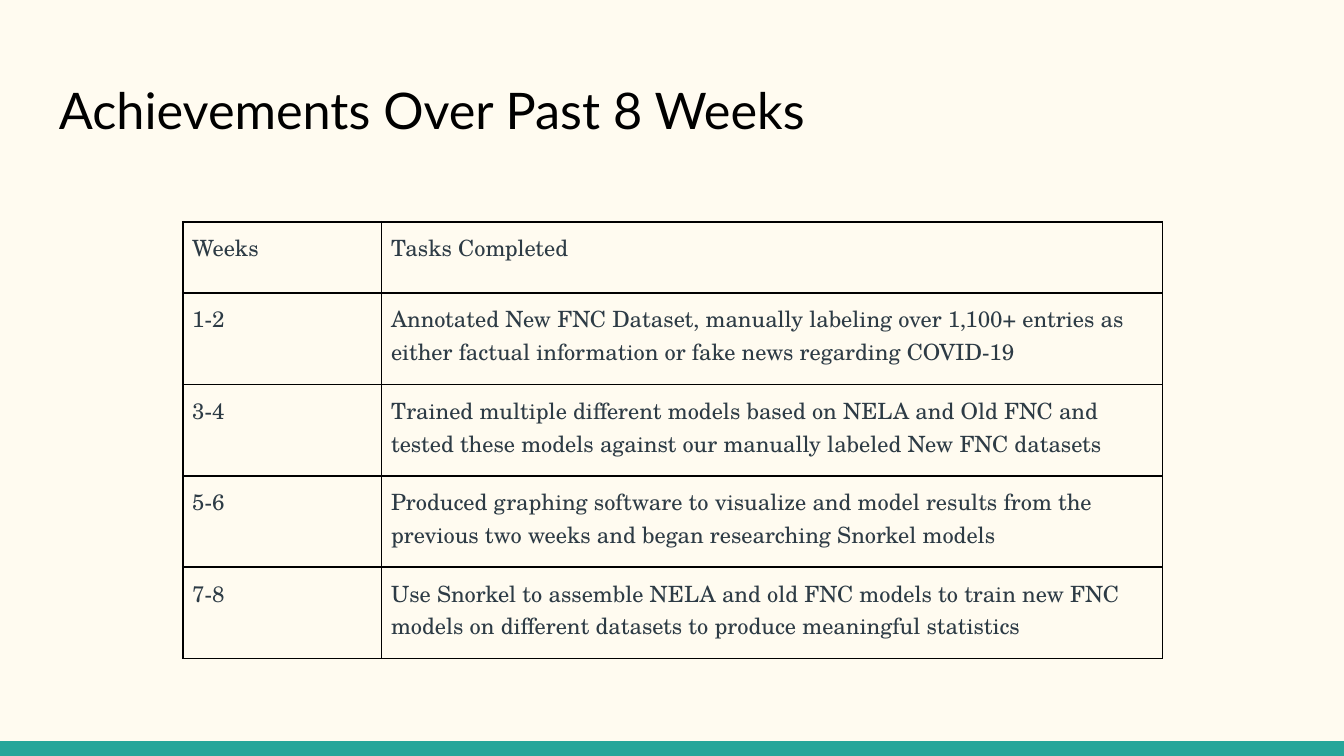
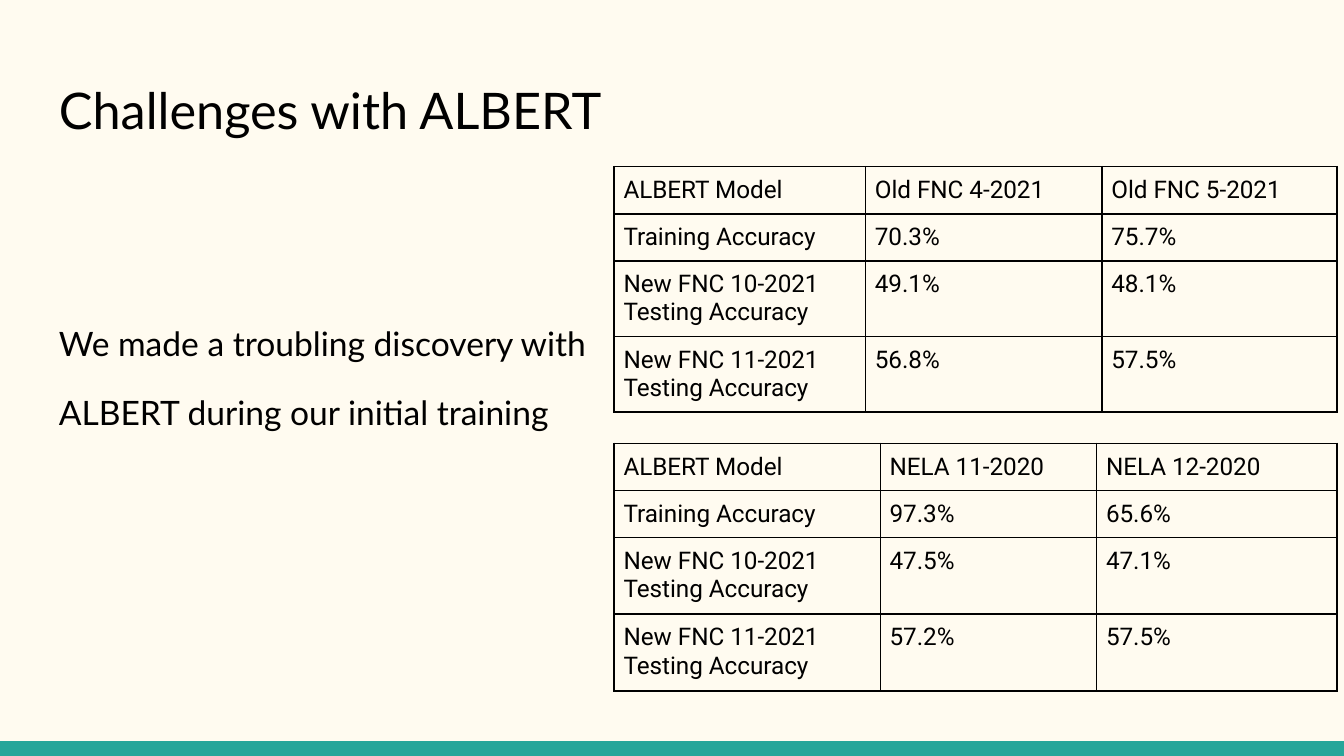
from dataclasses import dataclass

from lxml import etree
from pptx import Presentation
from pptx.dml.color import RGBColor
from pptx.enum.shapes import MSO_SHAPE
from pptx.enum.text import MSO_ANCHOR
from pptx.oxml.ns import qn
from pptx.util import Inches, Pt

RECTANGLE = MSO_SHAPE.RECTANGLE
TOP = MSO_ANCHOR.TOP


@dataclass(frozen=True)
class TextStyle:
    font: str
    size: float
    color: str


@dataclass(frozen=True)
class Theme:
    background: str = "FFFBF0"
    band: str = "26A69A"
    border: str = "000000"
    border_width: float = 1
    text_inset: float = 0.1
    cell_inset: float = 0.07
    cell_bottom: float = 0.06
    title: TextStyle = TextStyle("Lato", 27, "000000")
    body: TextStyle = TextStyle("Lato", 18, "000000")
    tasks: TextStyle = TextStyle("TeX Gyre Schola", 12, "2D3B45")
    results: TextStyle = TextStyle("Roboto", 13, "000000")


THEME = Theme()
SLIDE_WIDTH = 10
SLIDE_HEIGHT = SLIDE_WIDTH * 9 / 16
BAND_HEIGHT = 0.11
MARGIN = 0.34
TITLE_BOX = (MARGIN, 0.49, SLIDE_WIDTH - 2 * MARGIN, 0.67)

# Content
TASKS_BY_WEEK = [
    ("Weeks", "Tasks Completed"),
    ("1-2", "Annotated New FNC Dataset, manually labeling over 1,100+ entries as "
            "either factual information or fake news regarding COVID-19"),
    ("3-4", "Trained multiple different models based on NELA and Old FNC and "
            "tested these models against our manually labeled New FNC datasets"),
    ("5-6", "Produced graphing software to visualize and model results from the "
            "previous two weeks and began researching Snorkel models"),
    ("7-8", "Use Snorkel to assemble NELA and old FNC models to train new FNC "
            "models on different datasets to produce meaningful statistics"),
]
DISCOVERY = ["We made a troubling discovery with", "ALBERT during our initial training"]
RESULT_LABELS = [
    "ALBERT Model",
    "Training Accuracy",
    "New FNC 10-2021 Testing Accuracy",
    "New FNC 11-2021 Testing Accuracy",
]
NELA_RESULTS = [
    ("NELA 11-2020", "97.3%", "47.5%", "57.2%"),
    ("NELA 12-2020", "65.6%", "47.1%", "57.5%"),
]
OLD_FNC_RESULTS = [
    ("Old FNC 4-2021", "70.3%", "49.1%", "56.8%"),
    ("Old FNC 5-2021", "75.7%", "48.1%", "57.5%"),
]

# Table geometry
TASKS_AT = (1.36, 1.65)
TASKS_COLUMNS = [1.48, 5.81]
TASKS_ROWS = [0.53] + [0.68] * 4
RESULTS_LEFT = 4.57
RESULT_TABLES = [
    (NELA_RESULTS, 3.3, [1.98, 1.61, 1.79], [0.35, 0.35, 0.57, 0.57]),
    (OLD_FNC_RESULTS, 1.24, [1.87, 1.76, 1.75], [0.35, 0.35, 0.56, 0.56]),
]
DISCOVERY_BOX = (MARGIN, 2.26, RESULTS_LEFT - MARGIN, 2.74)


def add_run(paragraph, text, style):
    run = paragraph.add_run()
    run.text = text
    run.font.name = style.font
    run.font.size = Pt(style.size)
    run.font.color.rgb = RGBColor.from_string(style.color)


def set_insets(holder, inset, bottom):
    holder.margin_left = holder.margin_right = holder.margin_top = Inches(inset)
    holder.margin_bottom = Inches(bottom)


def add_text(slide, box, lines, style, line_spacing=1.0, gap=0):
    frame = slide.shapes.add_textbox(*map(Inches, box)).text_frame
    frame.word_wrap = True
    frame.vertical_anchor = TOP
    set_insets(frame, THEME.text_inset, THEME.text_inset)
    for index, line in enumerate(lines):
        paragraph = frame.add_paragraph() if index else frame.paragraphs[0]
        paragraph.line_spacing = line_spacing
        paragraph.space_before = Pt(gap if index else 0)
        add_run(paragraph, line, style)


def add_borders(cell):
    properties = cell._tc.get_or_add_tcPr()
    # Borders come before the fill, in this order
    for position, side in enumerate(("a:lnL", "a:lnR", "a:lnT", "a:lnB")):
        line = etree.Element(qn(side), w=str(Pt(THEME.border_width)))
        fill = etree.SubElement(line, qn("a:solidFill"))
        etree.SubElement(fill, qn("a:srgbClr"), val=THEME.border)
        properties.insert(position, line)


def add_grid(slide, at, columns, heights, rows, style):
    size = (sum(columns), sum(heights))
    table = slide.shapes.add_table(
        len(rows), len(columns), *map(Inches, at + size)).table
    table.first_row = table.horz_banding = False
    for column, width in zip(table.columns, columns):
        column.width = Inches(width)
    for row, height, texts in zip(table.rows, heights, rows):
        row.height = Inches(height)
        for cell, text in zip(row.cells, texts):
            cell.fill.background()
            cell.vertical_anchor = TOP
            set_insets(cell, THEME.cell_inset, THEME.cell_bottom)
            add_borders(cell)
            add_run(cell.text_frame.paragraphs[0], text, style)


def add_slide(deck, title):
    slide = deck.slides.add_slide(deck.slide_layouts[6])
    slide.background.fill.solid()
    slide.background.fill.fore_color.rgb = RGBColor.from_string(THEME.background)
    # Footer band
    band = slide.shapes.add_shape(
        RECTANGLE, 0, Inches(SLIDE_HEIGHT - BAND_HEIGHT),
        Inches(SLIDE_WIDTH), Inches(BAND_HEIGHT))
    band.shadow.inherit = False
    band.fill.solid()
    band.fill.fore_color.rgb = RGBColor.from_string(THEME.band)
    band.line.fill.background()
    add_text(slide, TITLE_BOX, [title], THEME.title)
    return slide


def main():
    deck = Presentation()
    deck.slide_width = Inches(SLIDE_WIDTH)
    deck.slide_height = Inches(SLIDE_HEIGHT)

    # Achievements
    achievements = add_slide(deck, "Achievements Over Past 8 Weeks")
    add_grid(achievements, TASKS_AT, TASKS_COLUMNS, TASKS_ROWS,
             TASKS_BY_WEEK, THEME.tasks)

    # Challenges
    challenges = add_slide(deck, "Challenges with ALBERT")
    add_text(challenges, DISCOVERY_BOX, DISCOVERY, THEME.body,
             line_spacing=1.15, gap=12)
    for results, top, columns, heights in RESULT_TABLES:
        rows = list(zip(RESULT_LABELS, *results))
        add_grid(challenges, (RESULTS_LEFT, top), columns, heights,
                 rows, THEME.results)

    deck.save("out.pptx")


if __name__ == "__main__":
    main()
